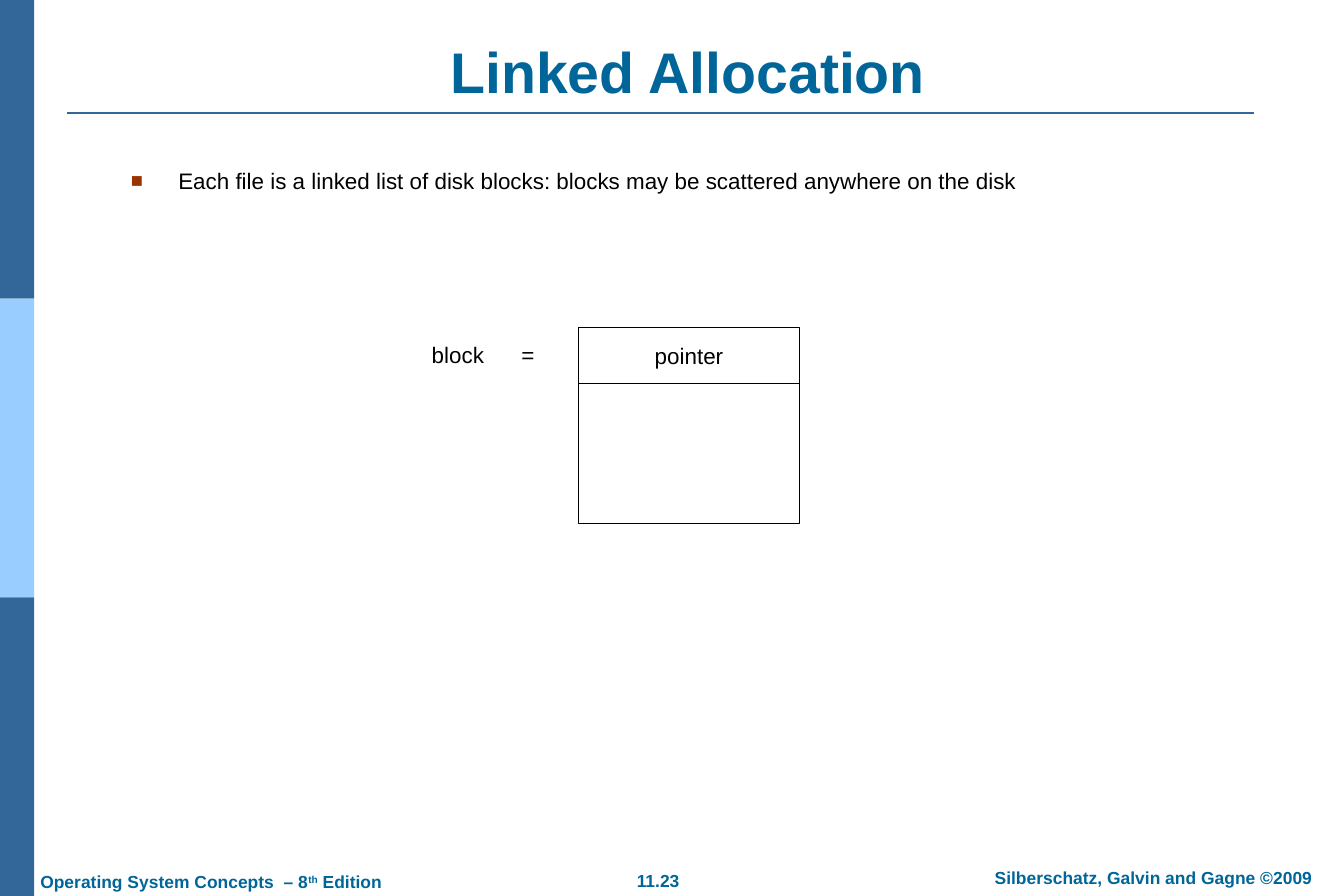
from lxml import etree
from pptx import Presentation
from pptx.dml.color import RGBColor
from pptx.enum.shapes import MSO_CONNECTOR, MSO_SHAPE
from pptx.enum.text import MSO_ANCHOR, MSO_AUTO_SIZE, PP_ALIGN
from pptx.oxml.ns import qn
from pptx.util import Inches, Pt

RECT = MSO_SHAPE.RECTANGLE
STRAIGHT = MSO_CONNECTOR.STRAIGHT
LEFT, CENTER = PP_ALIGN.LEFT, PP_ALIGN.CENTER
TOP, MIDDLE, BOTTOM = MSO_ANCHOR.TOP, MSO_ANCHOR.MIDDLE, MSO_ANCHOR.BOTTOM
NO_FIT = MSO_AUTO_SIZE.NONE

NAVY, SKY, TEAL = "336699", "99CCFF", "006699"
RUST, BLACK, WHITE = "993300", "000000", "FFFFFF"


def color(code):
    return RGBColor.from_string(code)


class Page:
    font = "Arial"

    def __init__(self, slide):
        self.slide = slide

    def fill_text(self, shape, runs, size=18, ink=BLACK, bold=False,
                  align=LEFT, anchor=TOP, pad=(0.14, 0.07), wrap=True):
        frame = shape.text_frame
        frame.auto_size = NO_FIT
        frame.word_wrap = wrap
        frame.vertical_anchor = anchor
        frame.margin_left = frame.margin_right = Inches(pad[0])
        frame.margin_top = frame.margin_bottom = Inches(pad[1])
        para = frame.paragraphs[0]
        para.alignment = align
        for text, raised in runs:
            run = para.add_run()
            run.text = text
            run.font.name = self.font
            run.font.size = Pt(size)
            run.font.bold = bold
            run.font.color.rgb = color(ink)
            if raised:
                run.font._element.set("baseline", "30000")
        return para

    def title(self, box, text, **style):
        shape = self.slide.shapes.title
        shape.left, shape.top, shape.width, shape.height = map(Inches, box)
        self.fill_text(shape, [(text, False)], **style)

    def text(self, box, runs, **style):
        shape = self.slide.shapes.add_textbox(*map(Inches, box))
        return self.fill_text(shape, runs, **style)

    def bullet(self, box, text, indent):
        props = self.text(box, [(text, False)])._p.get_or_add_pPr()
        props.set("marL", str(Inches(indent)))
        props.set("indent", str(-Inches(indent)))
        tint = etree.SubElement(props, qn("a:buClr"))
        etree.SubElement(tint, qn("a:srgbClr"), val=RUST)
        etree.SubElement(props, qn("a:buSzPct"), val="90000")
        etree.SubElement(props, qn("a:buFont"), typeface=self.font)
        etree.SubElement(props, qn("a:buChar"), char="■")

    def label(self, box, text, tab):
        para = self.text(box, [(text, False)], anchor=MIDDLE,
                         pad=(0.1, 0.05), wrap=False)
        stops = etree.SubElement(para._p.get_or_add_pPr(), qn("a:tabLst"))
        etree.SubElement(stops, qn("a:tab"), pos=str(Inches(tab)), algn="l")

    def rect(self, box, fill, line=None):
        shape = self.slide.shapes.add_shape(RECT, *map(Inches, box))
        shape.shadow.inherit = False
        shape.fill.solid()
        shape.fill.fore_color.rgb = color(fill)
        if line:
            shape.line.color.rgb = color(line)
            shape.line.width = Pt(0.75)
        else:
            shape.line.fill.background()
        return shape

    def rule(self, ends, ink, width):
        line = self.slide.shapes.add_connector(STRAIGHT, *map(Inches, ends))
        line.line.color.rgb = color(ink)
        line.line.width = Pt(width)
        etree.SubElement(line._element.spPr, qn("a:effectLst"))


def main():
    deck = Presentation()
    deck.slide_width, deck.slide_height = Inches(15), Inches(10)
    page = Page(deck.slides.add_slide(deck.slide_layouts[5]))

    # Side band and title rule
    part = 10 / 3
    for row, fill in enumerate((NAVY, SKY, NAVY)):
        page.rect((0, row * part, 0.38, part), fill)
    page.rule((0.75, 1.26, 14, 1.26), NAVY, 1.5)

    # Footer
    foot = {"size": 14, "ink": TEAL, "bold": True}
    page.text((6.95, 9.64, 0.79, 0.38), [("11.23", False)],
              align=CENTER, wrap=False, **foot)
    page.text((10.75, 9.61, 4.25, 0.38),
              [("Silberschatz, Galvin and Gagne ©2009", False)],
              align=CENTER, **foot)
    page.text((0.31, 9.65, 4.13, 0.38),
              [("Operating System Concepts  – 8", False), ("th", True),
               (" Edition", False)], wrap=False, **foot)

    # Title and body
    page.title((1.1, 0.4, 13.15, 0.84), "Linked Allocation", size=46,
               ink=TEAL, bold=True, align=CENTER, anchor=BOTTOM)
    page.bullet((1.32, 1.8, 12.43, 1.09),
                "Each file is a linked list of disk blocks: "
                "blocks may be scattered anywhere on the disk", 0.53)

    # Block diagram
    left, top, width, head, data = 6.46, 3.65, 2.46, 0.63, 1.56
    cell = page.rect((left, top, width, head), WHITE, BLACK)
    page.fill_text(cell, [("pointer", False)], align=CENTER, anchor=MIDDLE,
                   pad=(0.1, 0.05), wrap=False)
    page.rect((left, top + head, width, data), WHITE, BLACK)
    page.label((4.72, 3.76, 1.36, 0.4), "block\t=", 1)

    deck.save("out.pptx")


if __name__ == "__main__":
    main()
